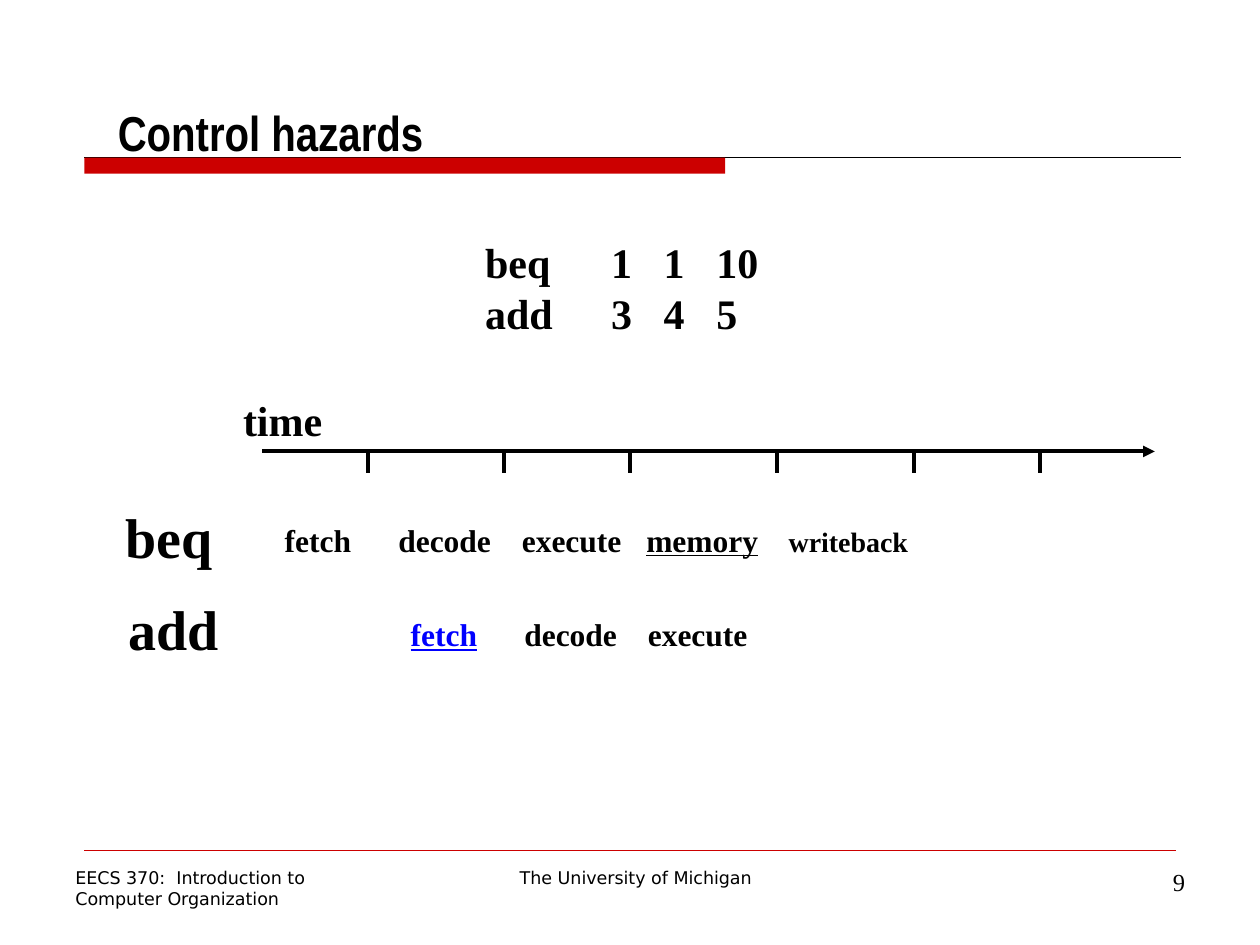
from lxml import etree
from pptx import Presentation
from pptx.dml.color import RGBColor
from pptx.enum import shapes, text
from pptx.oxml.ns import qn
from pptx.util import Cm, Pt

# Content: a run is a string or (string, format)
TITLE = "Control hazards"
CODE = [["beq\t1\t1\t10"], ["add\t3\t4\t5"]]
BEQ_STAGES = [["fetch\tdecode\texecute\t", ("memory", {"underline": True}),
               ("\twriteback", {"size": 16})]]
ADD_STAGES = [[("fetch", {"underline": True, "color": "0000FF"}),
               "\tdecode\texecute"]]
COURSE = [["EECS 370:  Introduction to"], ["Computer Organization"]]
SCHOOL = [["The University of Michigan"]]

THEME = {
    "ink": "000000", "accent": "CC0000",
    "title_font": "Arial Narrow", "body_font": "Times New Roman",
    "footer_font": "DejaVu Sans",
    "title": 28, "label": 32, "code": 24, "stage": 18, "number": 14, "footer": 10,
}
CODE_TABS = [2.54, 3.6, 4.66]
STAGE_TABS = [2.29, 4.78, 7.29, 10.16]
AXIS_Y, TICK = 9.1, 0.43
TICKS_X = [7.41, 10.16, 12.7, 15.66, 18.42, 20.96]

prs = Presentation()
prs.slide_width, prs.slide_height = Cm(25.4), Cm(19.05)
s = prs.slides.add_slide(prs.slide_layouts[5])


def write(tf, lines, size, font=THEME["body_font"], bold=True,
          align=text.PP_ALIGN.LEFT, tabs=()):
    """Fill a text frame with paragraphs of formatted runs."""
    for i, line in enumerate(lines):
        p = tf.paragraphs[0] if i == 0 else tf.add_paragraph()
        p.alignment = align
        if tabs:
            tab_list = etree.SubElement(p._p.get_or_add_pPr(), qn("a:tabLst"))
            for tab in tabs:
                etree.SubElement(tab_list, qn("a:tab"), pos=str(Cm(tab)), algn="l")
        for part in line:
            words, fmt = (part, {}) if isinstance(part, str) else part
            r = p.add_run()
            r.text = words
            r.font.name, r.font.bold = font, bold
            r.font.size = Pt(fmt.get("size", size))
            r.font.underline = fmt.get("underline")
            r.font.color.rgb = RGBColor.from_string(fmt.get("color", THEME["ink"]))


def add_text(x, y, w, h, lines, size, **fmt):
    tf = s.shapes.add_textbox(Cm(x), Cm(y), Cm(w), Cm(h)).text_frame
    tf.word_wrap = True
    write(tf, lines, size, **fmt)


def add_line(x1, y1, x2, y2, width, color=THEME["ink"], arrow=False):
    c = s.shapes.add_connector(shapes.MSO_CONNECTOR.STRAIGHT,
                               Cm(x1), Cm(y1), Cm(x2), Cm(y2))
    c.line.width = Pt(width)
    c.line.color.rgb = RGBColor.from_string(color)
    if arrow:
        etree.SubElement(c.line._get_or_add_ln(), qn("a:tailEnd"), type="triangle")
    etree.SubElement(c._element.spPr, qn("a:effectLst"))


# Title with its rule
title = s.shapes.title
title.left, title.top, title.width, title.height = Cm(2.12), Cm(0.21), Cm(21.17), Cm(3.18)
title.text_frame.auto_size = text.MSO_AUTO_SIZE.NONE
title.text_frame.vertical_anchor = text.MSO_ANCHOR.BOTTOM
write(title.text_frame, [[TITLE]], THEME["title"], font=THEME["title_font"])

add_line(1.7, 3.18, 23.8, 3.18, 0.75)
bar = s.shapes.add_shape(shapes.MSO_SHAPE.RECTANGLE, Cm(1.7), Cm(3.18), Cm(12.92), Cm(0.32))
bar.shadow.inherit = False
bar.fill.solid()
bar.fill.fore_color.rgb = RGBColor.from_string(THEME["accent"])
bar.line.fill.background()

# Footer
add_line(1.7, 17.15, 23.7, 17.15, 0.25, THEME["accent"])
footer = {"size": THEME["footer"], "font": THEME["footer_font"], "bold": False}
add_text(8.05, 17.35, 9.53, 0.69, SCHOOL, align=text.PP_ALIGN.CENTER, **footer)
add_text(1.27, 17.35, 6.99, 1.12, COURSE, **footer)
add_text(18.21, 17.35, 5.93, 1.32, [["9"]], THEME["number"], bold=False,
         align=text.PP_ALIGN.RIGHT)

# Instructions
add_text(9.53, 4.65, 6.4, 2.29, CODE, THEME["code"], tabs=CODE_TABS)

# Time axis
add_text(4.65, 7.82, 2.5, 1.27, [["time"]], THEME["code"])
add_line(5.29, AXIS_Y, 23.28, AXIS_Y, 2.25, arrow=True)
for x in TICKS_X:
    add_line(x, AXIS_Y, x, AXIS_Y + TICK, 2.25)

# Pipeline stages
add_text(5.49, 10.37, 13.5, 1.02, BEQ_STAGES, THEME["stage"], tabs=STAGE_TABS)
add_text(8.03, 12.27, 7.8, 1.02, ADD_STAGES, THEME["stage"], tabs=STAGE_TABS[:2])
add_text(2.28, 10.01, 2.6, 1.63, [["beq"]], THEME["label"])
add_text(2.34, 11.86, 2.6, 1.63, [["add"]], THEME["label"])

prs.save("out.pptx")
